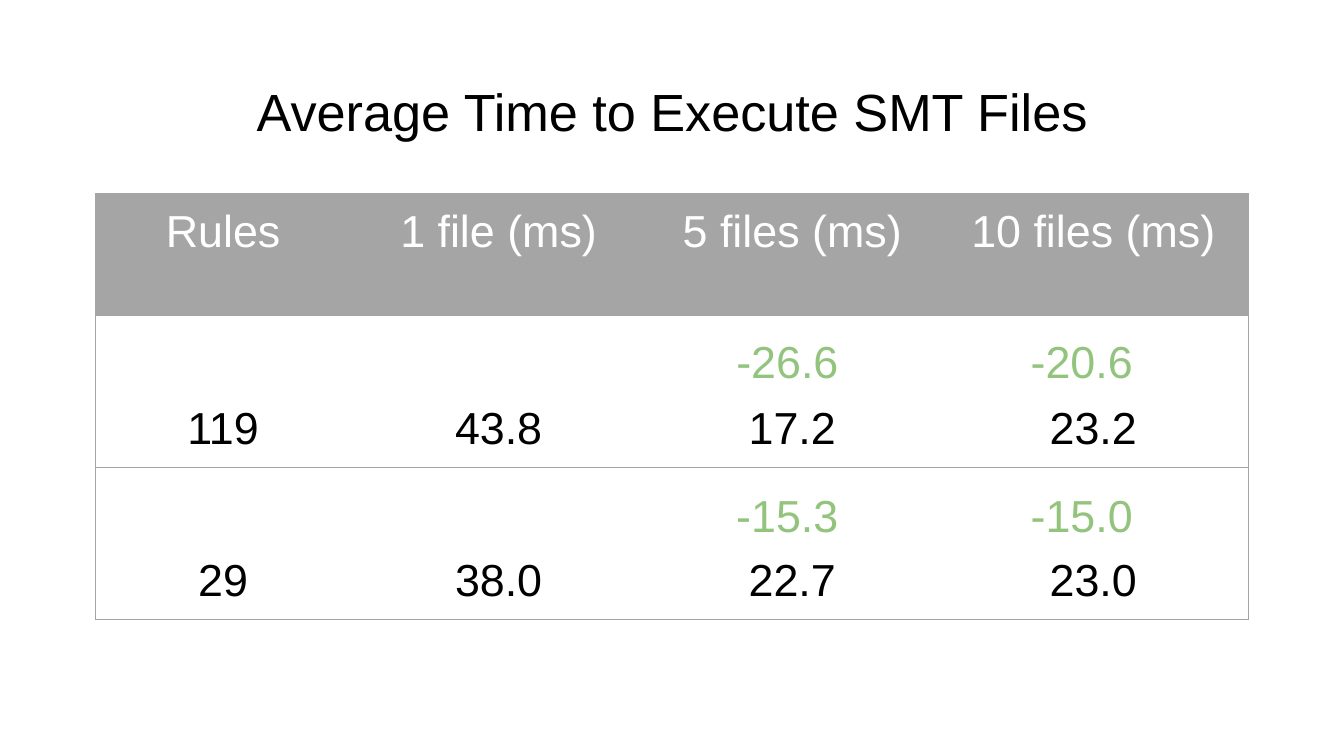
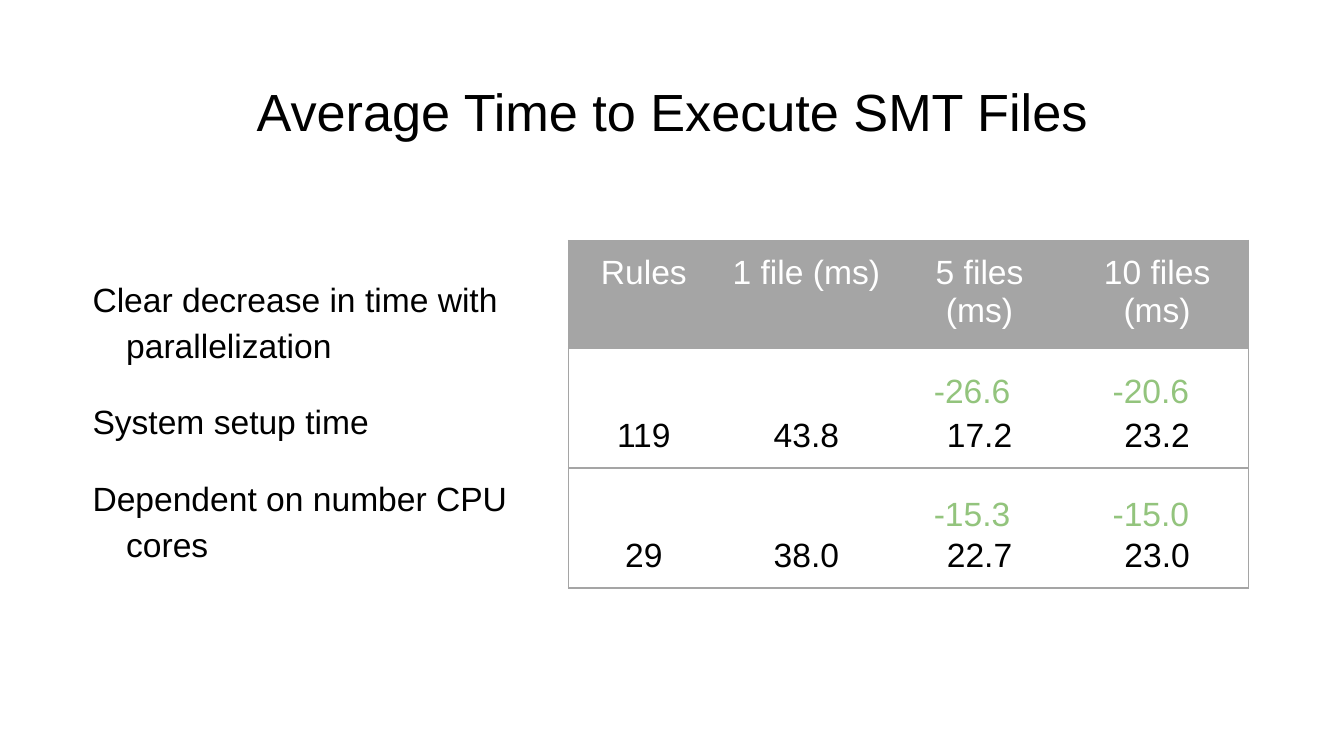
from dataclasses import dataclass

from lxml import etree
from pptx import Presentation
from pptx import util as u
from pptx.dml.color import RGBColor
from pptx.enum import text
from pptx.oxml import ns


@dataclass(frozen=True)
class Theme:
    font: str = "Arial"
    ink: str = "000000"
    paper: str = "FFFFFF"
    grey: str = "A5A5A5"
    green: str = "93C47D"
    title_size: int = 28
    large: int = 24
    small: int = 18
    rule_width: float = 0.83
    leading: float = 1.15


THEME = Theme()
GRID = u.Inches(0.1)
TITLE = "Average Time to Execute SMT Files"
TIMINGS = (
    ("Rules", "1 file (ms)", "5 files (ms)", "10 files (ms)"),
    ("119", "43.8", "17.2", "23.2"),
    ("29", "38.0", "22.7", "23.0"),
)
COLUMN_WIDTHS = (19, 22, 21.7, 23.1)
ROW_HEIGHTS = (9.1, 11.3, 11.3)
SAVINGS = (("-26.6", "-20.6"), ("-15.3", "-15.0"))
SAVING_WIDTHS = ((11.1, 15.2), (14.7, 17.2))
SAVING_HEIGHTS = (4.5, 4.1)
FINDINGS = (
    "Clear decrease in time with parallelization",
    "System setup time",
    "Dependent on number CPU cores",
)


def cells(count):
    return round(count * GRID)


def add_words(paragraph, words, size, color, align=None):
    paragraph.alignment = align
    run = paragraph.add_run()
    run.text = words
    run.font.name = THEME.font
    run.font.size = u.Pt(size)
    run.font.bold = False
    run.font.color.rgb = RGBColor.from_string(color)


def set_margins(holder):
    holder.margin_left = holder.margin_right = GRID
    holder.margin_top = holder.margin_bottom = GRID


def add_frame(slide, left, top, width, height):
    frame = slide.shapes.add_textbox(*map(cells, (left, top, width, height))).text_frame
    frame.word_wrap = True
    set_margins(frame)
    return frame


def add_title(slide):
    frame = add_frame(slide, 3.4, 4.9, 93.2, 6.3)
    add_words(frame.paragraphs[0], TITLE, THEME.title_size, THEME.ink,
              text.PP_ALIGN.CENTER)


def set_borders(cell, visible):
    properties = cell._tc.get_or_add_tcPr()
    for position, side in enumerate("LRTB"):
        line = etree.Element(ns.qn(f"a:ln{side}"), w=str(u.Pt(THEME.rule_width)))
        if side in visible:
            fill = etree.SubElement(line, ns.qn("a:solidFill"))
            etree.SubElement(fill, ns.qn("a:srgbClr"), val=THEME.grey)
        else:
            etree.SubElement(line, ns.qn("a:noFill"))
        properties.insert(position, line)


def fill_cell(cell, words, size, is_header):
    set_margins(cell)
    paragraph = cell.text_frame.paragraphs[0]
    add_words(paragraph, words, size, THEME.paper if is_header else THEME.ink,
              text.PP_ALIGN.CENTER)
    if is_header:
        cell.fill.solid()
        cell.fill.fore_color.rgb = RGBColor.from_string(THEME.grey)
    else:
        cell.fill.background()
        cell.vertical_anchor = text.MSO_ANCHOR.BOTTOM
        paragraph.line_spacing = THEME.leading


def add_timings(slide, left, top, size, width_scale=1, height_scale=1):
    widths = [cells(width * width_scale) for width in COLUMN_WIDTHS]
    heights = [cells(height * height_scale) for height in ROW_HEIGHTS]
    table = slide.shapes.add_table(len(heights), len(widths), cells(left), cells(top),
                                   sum(widths), sum(heights)).table
    table.horz_banding = False
    for column, width in zip(table.columns, widths):
        column.width = width
    last = len(widths) - 1
    for r, (row, height) in enumerate(zip(table.rows, heights)):
        row.height = height
        for c, words in enumerate(TIMINGS[r]):
            cell = table.cell(r, c)
            fill_cell(cell, words, size, r == 0)
            set_borders(cell, "TB" + "L" * (c == 0) + "R" * (c == last))


def add_savings(slide, lefts, tops, size):
    for r, top in enumerate(tops):
        for c, left in enumerate(lefts):
            frame = add_frame(slide, left, top, SAVING_WIDTHS[r][c], SAVING_HEIGHTS[r])
            add_words(frame.paragraphs[0], SAVINGS[r][c], size, THEME.green)


def add_findings(slide):
    frame = add_frame(slide, 3.4, 19.3, 36.5, 30.7)
    for index, finding in enumerate(FINDINGS):
        paragraph = frame.add_paragraph() if index else frame.paragraphs[0]
        add_words(paragraph, finding, THEME.small, THEME.ink)
        paragraph.line_spacing = THEME.leading
        paragraph.space_after = u.Pt(16)
        indents = paragraph._p.get_or_add_pPr()
        indents.set("marL", str(cells(5)))
        indents.set("indent", str(cells(-2.5)))


def add_titled_slide(deck):
    slide = deck.slides.add_slide(deck.slide_layouts[6])
    add_title(slide)
    return slide


def main():
    deck = Presentation()
    deck.slide_width, deck.slide_height = cells(100), cells(56.25)

    results = add_titled_slide(deck)
    add_timings(results, 7.1, 14.4, THEME.large)
    add_savings(results, (53.8, 75.7), (23.8, 35.3), THEME.large)

    discussion = add_titled_slide(deck)
    add_timings(discussion, 42.3, 17.9, THEME.small, 0.59, 0.79)
    add_savings(discussion, (68.5, 81.8), (26.5, 35.7), THEME.small)
    add_findings(discussion)

    deck.save("out.pptx")


if __name__ == "__main__":
    main()
